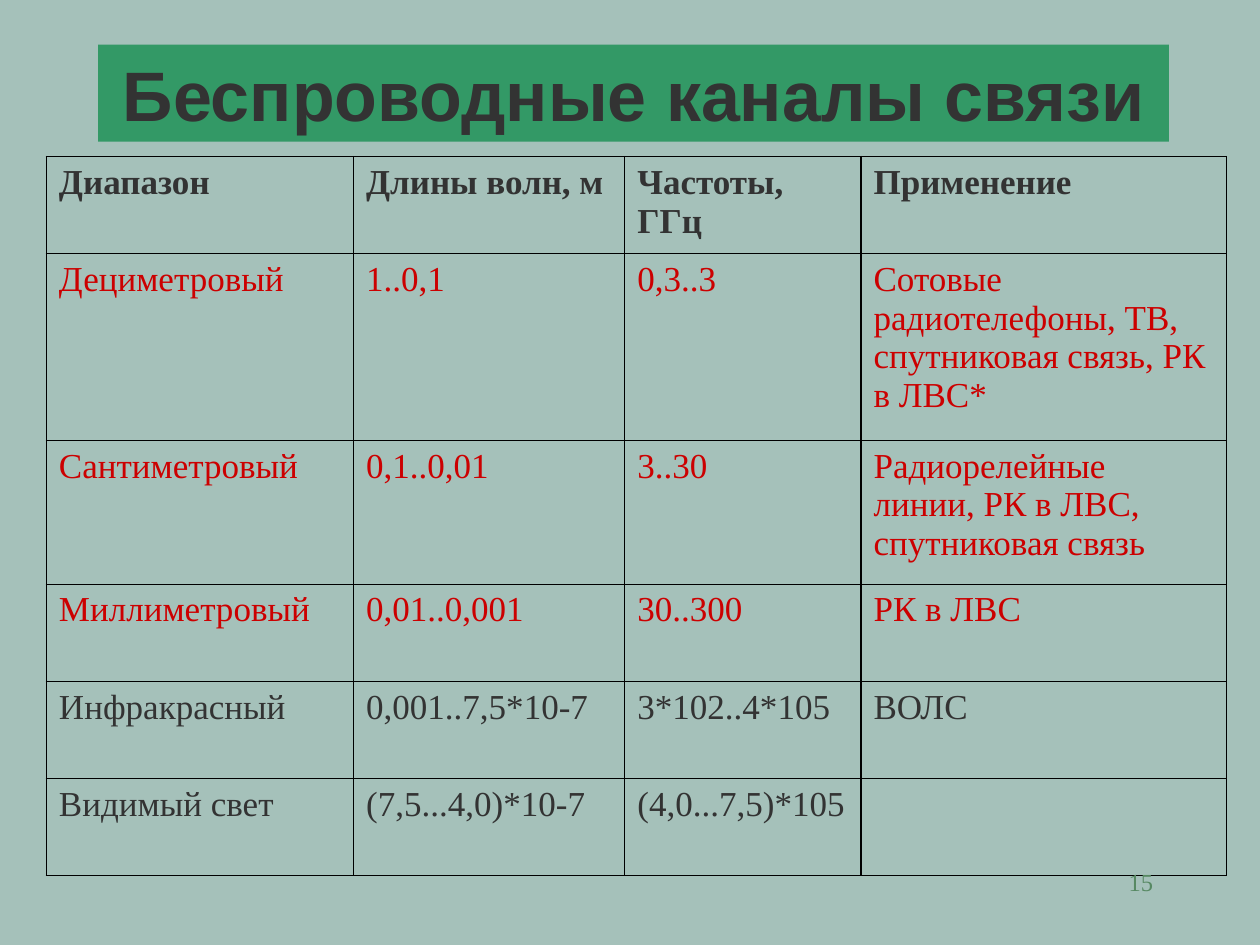
from lxml.etree import SubElement
from pptx import Presentation
from pptx.dml.color import RGBColor
from pptx.enum.text import MSO_ANCHOR, MSO_AUTO_SIZE, PP_ALIGN
from pptx.oxml.ns import qn
from pptx.util import Pt

COLORS = {
    "background": "A5C1BA",
    "banner": "339966",
    "text": "333333",
    "radio": "CC0000",
    "border": "000000",
    "number": "578963",
}
HEADING_FONT = "Arial"
BODY_FONT = "Times New Roman"

COLUMN_WIDTHS = [175.5, 155, 135, 209]
ROW_HEIGHTS = [55.5, 106.75, 82.25, 55.5, 55.5, 55.5]
HEADER = ["Диапазон", "Длины волн, м", "Частоты, ГГц", "Применение"]
RADIO_BANDS = [
    ["Дециметровый", "1..0,1", "0,3..3",
     "Сотовые радиотелефоны, ТВ, спутниковая связь, РК в ЛВС*"],
    ["Сантиметровый", "0,1..0,01", "3..30",
     "Радиорелейные линии, РК в ЛВС, спутниковая связь"],
    ["Миллиметровый", "0,01..0,001", "30..300", "РК в ЛВС"],
]
OPTICAL_BANDS = [
    ["Инфракрасный", "0,001..7,5*10-7", "3*102..4*105", "ВОЛС"],
    ["Видимый свет", "(7,5...4,0)*10-7", "(4,0...7,5)*105", ""],
]


def color(name):
    return RGBColor.from_string(COLORS[name])


def add_span(para, text, font, size, color_name, bold=False):
    span = para.add_run()
    span.text = text
    span.font.name = font
    span.font.size = Pt(size)
    span.font.bold = bold
    span.font.color.rgb = color(color_name)


def add_borders(cell, width):
    properties = cell._tc.get_or_add_tcPr()
    for position, side in enumerate(("a:lnL", "a:lnR", "a:lnT", "a:lnB")):
        line = SubElement(properties, qn(side), w=str(Pt(width)))
        properties.remove(line)
        properties.insert(position, line)  # borders come before the fill
        fill = SubElement(line, qn("a:solidFill"))
        SubElement(fill, qn("a:srgbClr"), val=COLORS["border"])


def place_title(page, left, top, width, height):
    title = page.shapes.title
    title.left, title.top = Pt(left), Pt(top)
    title.width, title.height = Pt(width), Pt(height)
    title.fill.solid()
    title.fill.fore_color.rgb = color("banner")
    frame = title.text_frame
    frame.auto_size = MSO_AUTO_SIZE.NONE
    frame.vertical_anchor = MSO_ANCHOR.MIDDLE
    para = frame.paragraphs[0]
    para.alignment = PP_ALIGN.CENTER
    add_span(para, "Беспроводные каналы связи", HEADING_FONT, 40, "text", bold=True)


def add_band_table(page, left, top):
    rows = [(HEADER, "text", True)]
    rows += [(band, "radio", False) for band in RADIO_BANDS]
    rows += [(band, "text", False) for band in OPTICAL_BANDS]
    table = page.shapes.add_table(
        len(rows), len(HEADER), Pt(left), Pt(top),
        Pt(sum(COLUMN_WIDTHS)), Pt(sum(ROW_HEIGHTS))).table
    table.horz_banding = False
    for column, width in zip(table.columns, COLUMN_WIDTHS):
        column.width = Pt(width)
    for row, height, (texts, color_name, bold) in zip(table.rows, ROW_HEIGHTS, rows):
        row.height = Pt(height)
        for cell, text in zip(row.cells, texts):
            cell.fill.background()
            add_borders(cell, 0.96)
            if text:
                add_span(cell.text_frame.paragraphs[0], text,
                         BODY_FONT, 20, color_name, bold)


def add_page_number(page, left, top, width, height):
    box = page.shapes.add_textbox(Pt(left), Pt(top), Pt(width), Pt(height))
    box.text_frame.word_wrap = True
    para = box.text_frame.paragraphs[0]
    para.alignment = PP_ALIGN.RIGHT
    add_span(para, "15", BODY_FONT, 14, "number")


def main():
    deck = Presentation()
    deck.slide_width, deck.slide_height = Pt(720), Pt(540)
    page = deck.slides.add_slide(deck.slide_layouts[5])
    page.background.fill.solid()
    page.background.fill.fore_color.rgb = color("background")

    place_title(page, 56, 25.5, 612, 55.5)
    add_band_table(page, 26.5, 89.5)
    add_page_number(page, 516, 492, 150, 36)
    deck.save("out.pptx")


if __name__ == "__main__":
    main()
